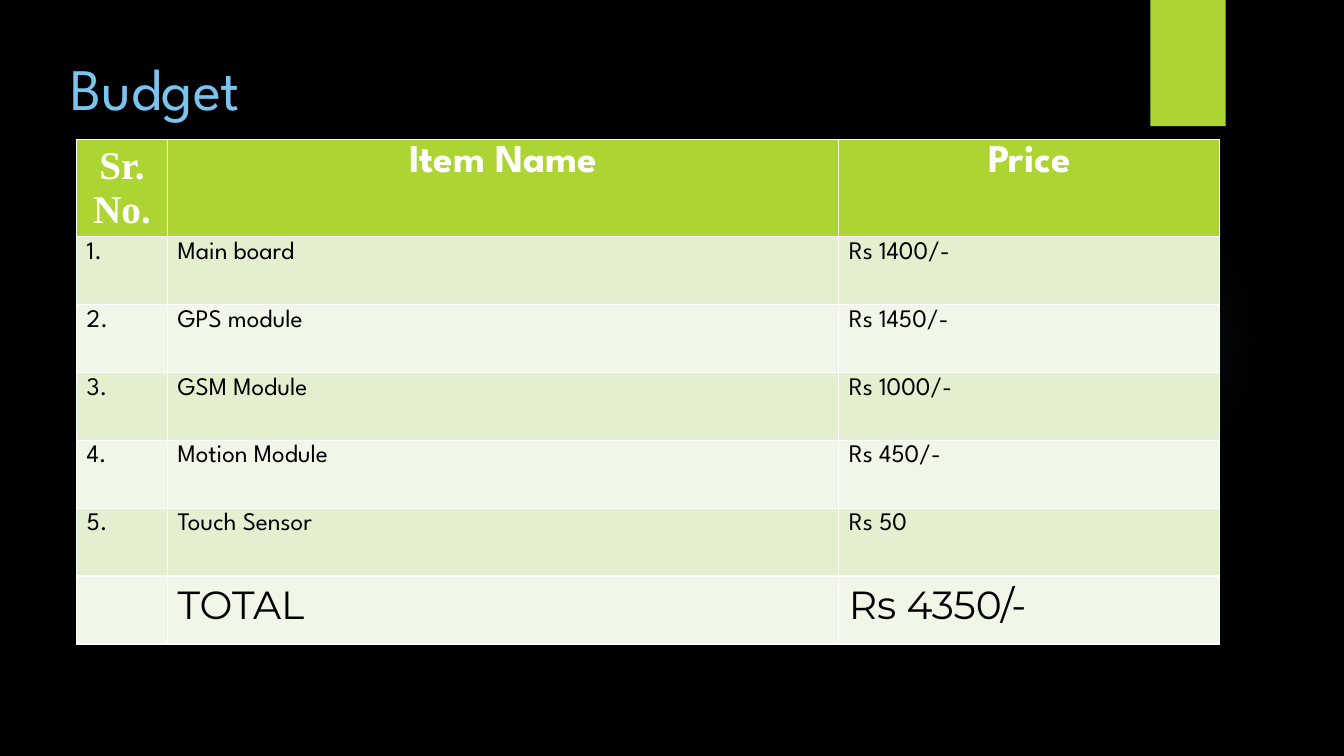
import pptx
import pptx.dml.color
import pptx.enum.shapes
import pptx.enum.text
import pptx.oxml
import pptx.oxml.ns
import pptx.util
from pptx.util import Cm

RGB = pptx.dml.color.RGBColor
BLACK = RGB(0x00, 0x00, 0x00)
WHITE = RGB(0xFF, 0xFF, 0xFF)
LIME = RGB(0xAC, 0xD4, 0x33)
SKY = RGB(0x7A, 0xC4, 0xF0)
BANDS = [RGB(0xE3, 0xEF, 0xCE), RGB(0xF1, 0xF7, 0xE8)]

SPARTAN = "League Spartan"
WIDTHS = [2.29, 16.92, 9.6]
HEADS = [("Sr. No.", "Times New Roman"), ("Item Name", SPARTAN), ("Price", SPARTAN)]
ITEMS = [
    ("Main board", "Rs 1400/-"),
    ("GPS module", "Rs 1450/-"),
    ("GSM Module", "Rs 1000/-"),
    ("Motion Module", "Rs 450/-"),
    ("Touch Sensor", "Rs 50"),
]
TOTAL = ("", "TOTAL", "Rs 4350/-")


def add_run(para, text, font, size, color, bold=False):
    """Append one styled run to a paragraph."""
    run = para.add_run()
    run.text = text
    run.font.name = font
    run.font.size = pptx.util.Pt(size)
    run.font.color.rgb = color
    run.font.bold = bold


def add_shape(slide, kind, box):
    """Add a preset shape without line or shadow."""
    shape = slide.shapes.add_shape(kind, *(Cm(n) for n in box))
    shape.shadow.inherit = False
    shape.line.fill.background()
    return shape


def draw_decor(slide, glow_box, tab_box):
    """Draw the faint round glow and the lime tab."""
    kinds = pptx.enum.shapes.MSO_SHAPE
    glow = add_shape(slide, kinds.OVAL, glow_box)
    stops = "".join(
        f'<a:gs pos="{pos}000"><a:srgbClr val="{SKY}"><a:alpha val="{alpha}000"/></a:srgbClr></a:gs>'
        for pos, alpha in [(0, 7), (36, 6), (69, 0)]
    )
    grad = pptx.oxml.parse_xml(
        f'<a:gradFill {pptx.oxml.ns.nsdecls("a")}><a:gsLst>{stops}</a:gsLst>'
        '<a:path path="circle"><a:fillToRect l="50000" t="50000" r="50000" b="50000"/></a:path>'
        "</a:gradFill>"
    )
    glow.fill.background()
    props = glow.element.spPr
    props.replace(props.find(pptx.oxml.ns.qn("a:noFill")), grad)
    tab = add_shape(slide, kinds.RECTANGLE, tab_box)
    tab.fill.solid()
    tab.fill.fore_color.rgb = LIME


def draw_title(slide, box):
    """Place and style the slide title."""
    title = slide.shapes.title
    title.left, title.top, title.width, title.height = (Cm(n) for n in box)
    frame = title.text_frame
    frame.auto_size = pptx.enum.text.MSO_AUTO_SIZE.NONE
    frame.vertical_anchor = pptx.enum.text.MSO_ANCHOR.TOP
    frame.margin_top = Cm(0.56)
    para = frame.paragraphs[0]
    para.alignment = pptx.enum.text.PP_ALIGN.LEFT
    add_run(para, "Budget", SPARTAN, 42, SKY)


def fill_cell(cell, color):
    """Fill a cell and return its first paragraph."""
    cell.fill.solid()
    cell.fill.fore_color.rgb = color
    return cell.text_frame.paragraphs[0]


def draw_table(slide, box):
    """Draw the budget table with its header, items and total."""
    rows = [(f"{num}.", *item) for num, item in enumerate(ITEMS, 1)] + [TOTAL]
    count = len(rows) + 1
    left, top, width, height = (Cm(n) for n in box)
    table = slide.shapes.add_table(count, len(HEADS), left, top, width, height).table
    for col, wide in zip(table.columns, WIDTHS):
        col.width = Cm(wide)
    for row in table.rows:
        row.height = height // count
    for col, (text, font) in enumerate(HEADS):
        para = fill_cell(table.cell(0, col), LIME)
        para.alignment = pptx.enum.text.PP_ALIGN.CENTER
        add_run(para, text, font, 28, WHITE, True)
    for num, row in enumerate(rows):
        font, size = ("Montserrat", 28) if row is TOTAL else (SPARTAN, 18)
        for col, text in enumerate(row):
            para = fill_cell(table.cell(num + 1, col), BANDS[num % 2])
            if text:
                add_run(para, text, font, size, BLACK)


def main():
    """Build and save the budget slide."""
    deck = pptx.Presentation()
    deck.slide_width, deck.slide_height = Cm(33.87), Cm(19.05)
    slide = deck.slides.add_slide(deck.slide_layouts[5])
    back = slide.background.fill
    back.solid()
    back.fore_color.rgb = BLACK
    draw_decor(slide, (23.9, 4.65, 7.82, 7.82), (28.99, 0, 1.9, 3.18))
    draw_title(slide, (1.52, 0.74, 26.14, 1.85))
    draw_table(slide, (1.93, 3.52, sum(WIDTHS), 11.98))
    deck.save("out.pptx")


if __name__ == "__main__":
    main()
